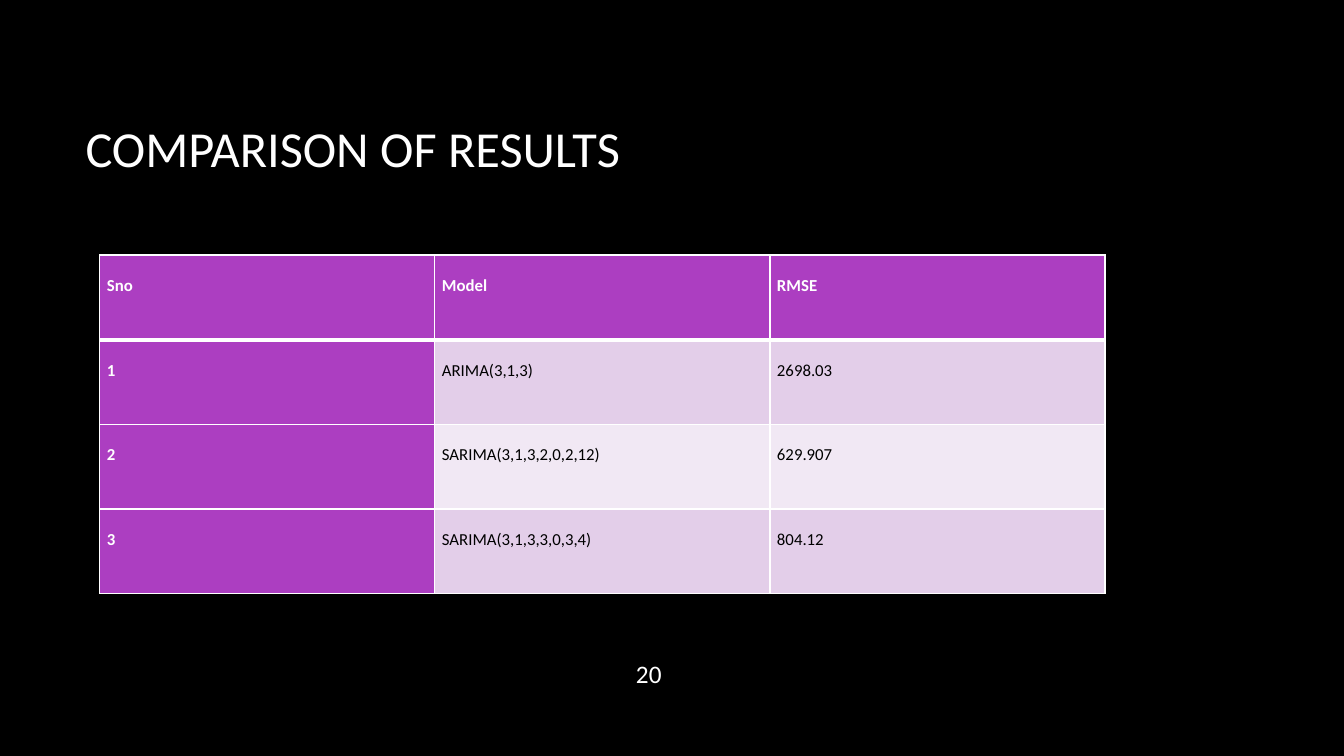
import pptx
import pptx.dml.color
import pptx.enum.text
import pptx.oxml
import pptx.oxml.ns
import pptx.util
from pptx.util import Inches

RGBColor = pptx.dml.color.RGBColor
Align = pptx.enum.text.PP_ALIGN
Anchor = pptx.enum.text.MSO_ANCHOR

BLACK = RGBColor(0x00, 0x00, 0x00)
WHITE = RGBColor(0xFF, 0xFF, 0xFF)
PURPLE = RGBColor(0xAC, 0x3E, 0xC1)
BANDS = (RGBColor(0xE3, 0xCE, 0xE9), RGBColor(0xF1, 0xE8, 0xF4))

RESULTS = (
    ("Sno", "Model", "RMSE"),
    ("1", "ARIMA(3,1,3)", "2698.03"),
    ("2", "SARIMA(3,1,3,2,0,2,12)", "629.907"),
    ("3", "SARIMA(3,1,3,3,0,3,4)", "804.12"),
)
CELL_FORMAT = {
    "margin_left": Inches(0.07),
    "margin_right": Inches(0.07),
    "margin_top": 0,
    "margin_bottom": 0,
}
CELL_PARAGRAPH_FORMAT = {
    "alignment": Align.JUSTIFY,
    "line_spacing": 2.0,
    "space_after": pptx.util.Pt(8),
}


def set_attributes(target, values):
    for name, value in values.items():
        setattr(target, name, value)


def write_run(paragraph, text, size, color, bold=False):
    run = paragraph.add_run()
    run.text = text
    set_attributes(run.font, {"name": "Calibri", "size": pptx.util.Pt(size), "bold": bold})
    run.font.color.rgb = color


def add_label(slide, box, text, size, alignment):
    """Add one line of white text, centred vertically in its box."""
    frame = slide.shapes.add_textbox(*map(Inches, box)).text_frame
    set_attributes(frame, {"word_wrap": True, "vertical_anchor": Anchor.MIDDLE})
    paragraph = frame.paragraphs[0]
    paragraph.alignment = alignment
    write_run(paragraph, text, size, WHITE)


def add_borders(cell, widths):
    """Draw white borders, given a width in points for each side letter."""
    properties = cell._tc.get_or_add_tcPr()
    for side, width in widths.items():
        properties.append(pptx.oxml.parse_xml(
            f'<a:ln{side} {pptx.oxml.ns.nsdecls("a")} w="{pptx.util.Pt(width)}">'
            f'<a:solidFill><a:srgbClr val="{WHITE}"/></a:solidFill></a:ln{side}>'
        ))


def add_results_table(slide, box):
    left, top, width, height = map(Inches, box)
    row_count, column_count = len(RESULTS), len(RESULTS[0])
    table = slide.shapes.add_table(row_count, column_count, left, top, width, height).table
    table.first_col = True
    for column in table.columns:
        column.width = width // column_count
    for row_index, row in enumerate(RESULTS):
        table.rows[row_index].height = height // row_count
        for column_index, text in enumerate(row):
            cell = table.cell(row_index, column_index)
            is_heading = row_index == 0 or column_index == 0
            set_attributes(cell, CELL_FORMAT)
            add_borders(cell, {
                "L": 1,
                "R": 1,
                "T": 3 if row_index == 1 else 1,
                "B": 3 if row_index == 0 else 1,
            })
            cell.fill.solid()
            cell.fill.fore_color.rgb = PURPLE if is_heading else BANDS[(row_index - 1) % 2]
            paragraph = cell.text_frame.paragraphs[0]
            set_attributes(paragraph, CELL_PARAGRAPH_FORMAT)
            write_run(paragraph, text, 12, WHITE if is_heading else BLACK, is_heading)


def build_results_slide(presentation):
    slide = presentation.slides.add_slide(presentation.slide_layouts[6])
    slide.background.fill.solid()
    slide.background.fill.fore_color.rgb = BLACK
    add_label(slide, (0.75, 0.67, 11.08, 1.59), "COMPARISON OF RESULTS", 36, Align.LEFT)
    add_label(slide, (6.06, 6.48, 0.6, 0.41), "20", 18, Align.RIGHT)
    add_results_table(slide, (0.99, 2.53, 9.97, 3.36))


def main():
    presentation = pptx.Presentation()
    set_attributes(presentation, {"slide_width": Inches(13.33), "slide_height": Inches(7.5)})
    build_results_slide(presentation)
    presentation.save("out.pptx")


if __name__ == "__main__":
    main()
